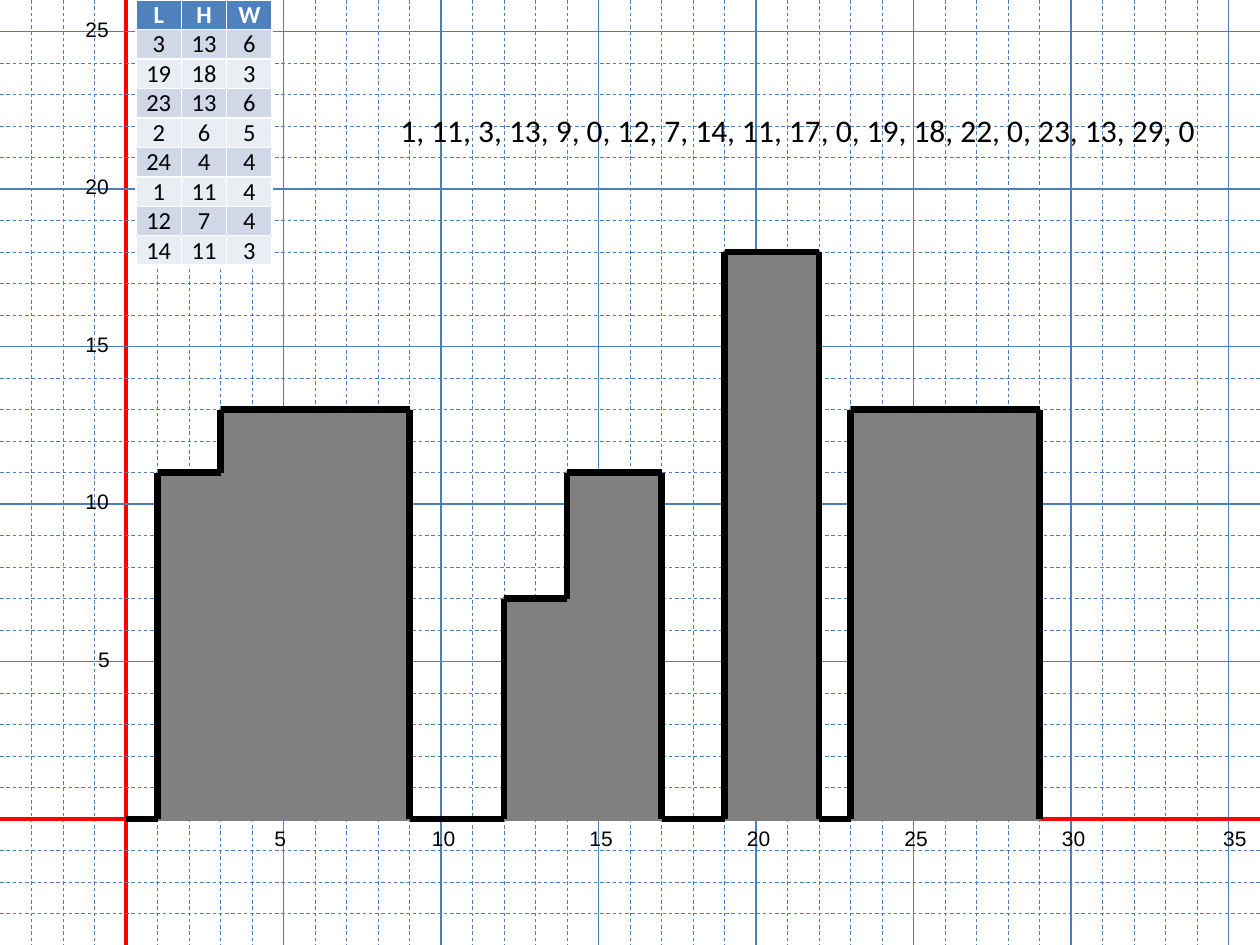
from lxml import etree
from pptx import Presentation
from pptx.dml.color import RGBColor
from pptx.enum.dml import MSO_LINE
from pptx.enum.shapes import MSO_CONNECTOR, MSO_SHAPE
from pptx.enum.text import MSO_ANCHOR, MSO_AUTO_SIZE, PP_ALIGN
from pptx.oxml.ns import qn
from pptx.util import Inches, Pt

STRAIGHT = MSO_CONNECTOR.STRAIGHT
RECTANGLE = MSO_SHAPE.RECTANGLE
DASH = MSO_LINE.DASH
CENTER = PP_ALIGN.CENTER
MIDDLE = MSO_ANCHOR.MIDDLE
FIT_SHAPE = MSO_AUTO_SIZE.SHAPE_TO_FIT_TEXT

GRID_BLUE = RGBColor(0x4B, 0x7E, 0xBC)
AXIS_RED = RGBColor(0xFF, 0x00, 0x00)
BLACK = RGBColor(0x00, 0x00, 0x00)
WHITE = RGBColor(0xFF, 0xFF, 0xFF)
BUILDING_GRAY = RGBColor(0x80, 0x80, 0x80)
HEADER_BLUE = RGBColor(0x4F, 0x81, 0xBD)
BANDS = (RGBColor(0xD0, 0xD8, 0xE8), RGBColor(0xE9, 0xED, 0xF4))

# Content: buildings as left, height, width; skyline as alternating x, height
HEADERS = ("L", "H", "W")
BUILDINGS = [
    (3, 13, 6), (19, 18, 3), (23, 13, 6), (2, 6, 5),
    (24, 4, 4), (1, 11, 4), (12, 7, 4), (14, 11, 3),
]
SKYLINE = [1, 11, 3, 13, 9, 0, 12, 7, 14, 11, 17, 0, 19, 18, 22, 0, 23, 13, 29, 0]
X_TICKS = range(5, 36, 5)
Y_TICKS = range(5, 26, 5)

# Geometry in inches
SLIDE_WIDTH, SLIDE_HEIGHT = 10, 7.5
UNIT = 0.25
ORIGIN_X, ORIGIN_Y = 1, 6.5
LABEL_HEIGHT = 0.3
LABEL_OFFSET = 0.17
Y_LABEL_RIGHT = 0.97


def x_at(units):
    return ORIGIN_X + units * UNIT


def y_at(units):
    return ORIGIN_Y - units * UNIT


def add_line(shapes, start, end, color, width, dashed=False):
    connector = shapes.add_connector(
        STRAIGHT, *(Inches(value) for value in (*start, *end)))
    connector.line.color.rgb = color
    connector.line.width = Pt(width)
    if dashed:
        connector.line.dash_style = DASH
    properties = connector._element.find(qn("p:spPr"))
    etree.SubElement(properties, qn("a:effectLst"))


def add_grid_line(shapes, units, start, end):
    if units == 0:
        add_line(shapes, start, end, AXIS_RED, 2)
    elif units % 5 == 0:
        add_line(shapes, start, end, GRID_BLUE, 0.75)
    else:
        add_line(shapes, start, end, GRID_BLUE, 0.5, dashed=True)


def add_text(shapes, text, left, top, width, height, font_name, size):
    box = shapes.add_textbox(Inches(left), Inches(top), Inches(width), Inches(height))
    frame = box.text_frame
    frame.word_wrap = False
    frame.auto_size = FIT_SHAPE
    paragraph = frame.paragraphs[0]
    paragraph.text = text
    paragraph.font.name = font_name
    paragraph.font.size = Pt(size)
    paragraph.font.color.rgb = BLACK


def label_width(tick):
    return 0.29 if tick < 10 else 0.39


def add_grid(slide):
    shapes = slide.shapes.add_group_shape().shapes
    for units in range(-3, 36):
        x = x_at(units)
        add_grid_line(shapes, units, (x, 0), (x, SLIDE_HEIGHT))
    for units in range(25, -4, -1):
        y = y_at(units)
        add_grid_line(shapes, units, (0, y), (SLIDE_WIDTH, y))

    # Axis labels; the last one ends at the slide edge
    for tick in X_TICKS:
        width = label_width(tick)
        left = x_at(tick) - LABEL_OFFSET
        if tick == X_TICKS[-1]:
            left = SLIDE_WIDTH - width
        add_text(shapes, str(tick), left, ORIGIN_Y, width, LABEL_HEIGHT, "Arial", 12)
    for tick in Y_TICKS:
        width = label_width(tick)
        add_text(shapes, str(tick), Y_LABEL_RIGHT - width, y_at(tick) - LABEL_OFFSET,
                 width, LABEL_HEIGHT, "Arial", 12)


def add_building_table(slide):
    rows = [HEADERS, *BUILDINGS]
    table = slide.shapes.add_table(
        len(rows), len(HEADERS), Inches(1.08), Inches(0),
        Inches(0.36 * len(HEADERS)), Inches(0.21 * len(rows))).table
    for row_index, row in enumerate(rows):
        is_header = row_index == 0
        for column_index, value in enumerate(row):
            cell = table.cell(row_index, column_index)
            cell.margin_left = cell.margin_right = 0
            cell.margin_top = cell.margin_bottom = 0
            cell.vertical_anchor = MIDDLE
            cell.fill.solid()
            cell.fill.fore_color.rgb = HEADER_BLUE if is_header else BANDS[(row_index - 1) % 2]
            paragraph = cell.text_frame.paragraphs[0]
            paragraph.text = str(value)
            paragraph.alignment = CENTER
            paragraph.font.name = "Calibri"
            paragraph.font.size = Pt(14)
            paragraph.font.bold = is_header
            paragraph.font.color.rgb = WHITE if is_header else BLACK


def add_buildings(slide):
    for left, height, width in BUILDINGS:
        building = slide.shapes.add_shape(
            RECTANGLE, Inches(x_at(left)), Inches(y_at(height)),
            Inches(width * UNIT), Inches(height * UNIT))
        building.shadow.inherit = False
        building.fill.solid()
        building.fill.fore_color.rgb = BUILDING_GRAY
        building.line.color.rgb = BUILDING_GRAY
        building.line.width = Pt(2)


def add_skyline(slide):
    # Each pair gives a horizontal step to x, then a vertical step to the height
    points = [(0, 0)]
    for x, height in zip(SKYLINE[::2], SKYLINE[1::2]):
        points += [(x, points[-1][1]), (x, height)]
    corners = [(x_at(x), y_at(height)) for x, height in points]
    for start, end in zip(corners, corners[1:]):
        add_line(slide.shapes, start, end, BLACK, 4)
    add_text(slide.shapes, ", ".join(map(str, SKYLINE)),
             3.08, 0.83, 6.6, 0.4, "Calibri", 18)


def main():
    presentation = Presentation()
    presentation.slide_width = Inches(SLIDE_WIDTH)
    presentation.slide_height = Inches(SLIDE_HEIGHT)
    slide = presentation.slides.add_slide(presentation.slide_layouts[6])
    add_grid(slide)
    add_building_table(slide)
    add_buildings(slide)
    add_skyline(slide)
    presentation.save("out.pptx")


if __name__ == "__main__":
    main()
